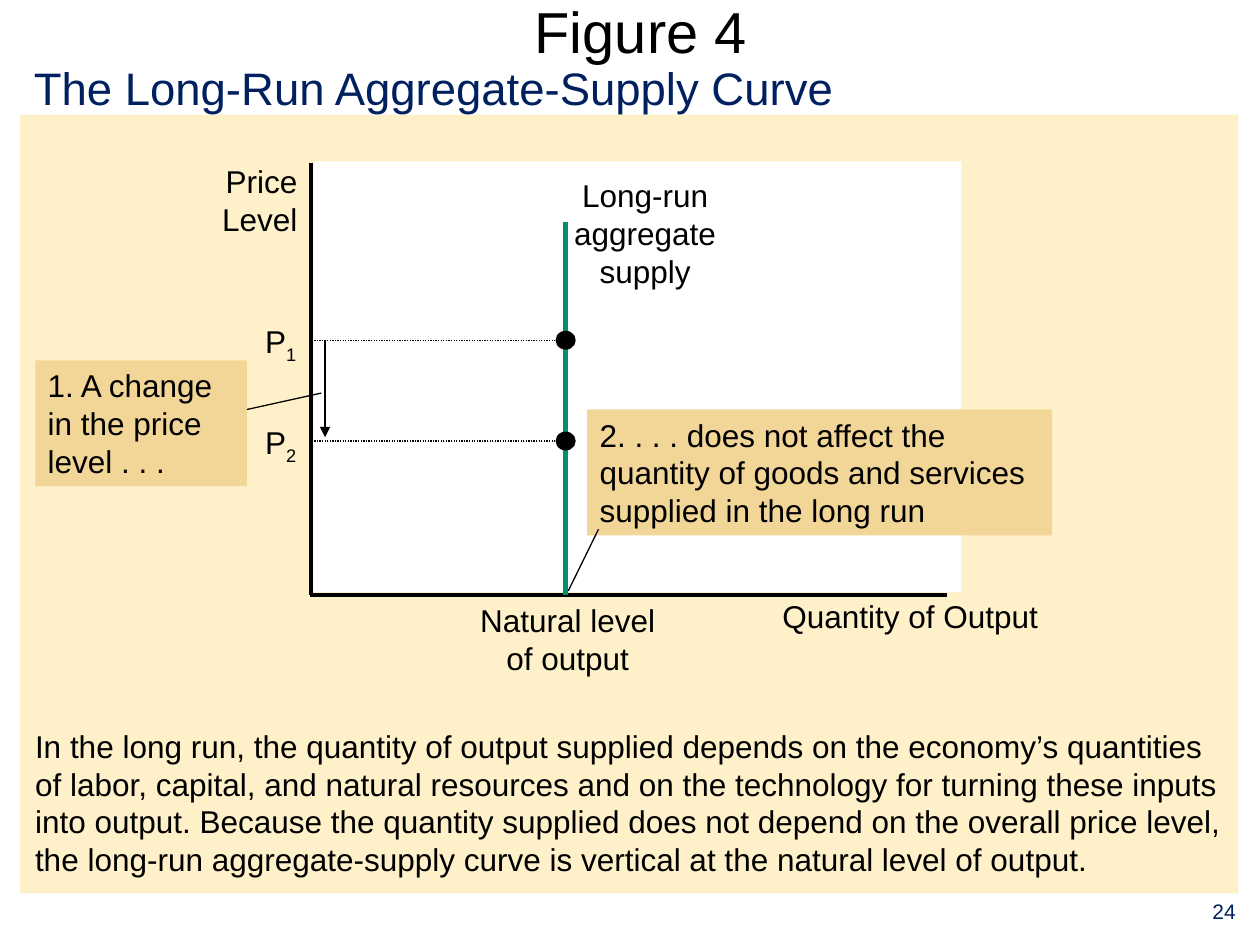
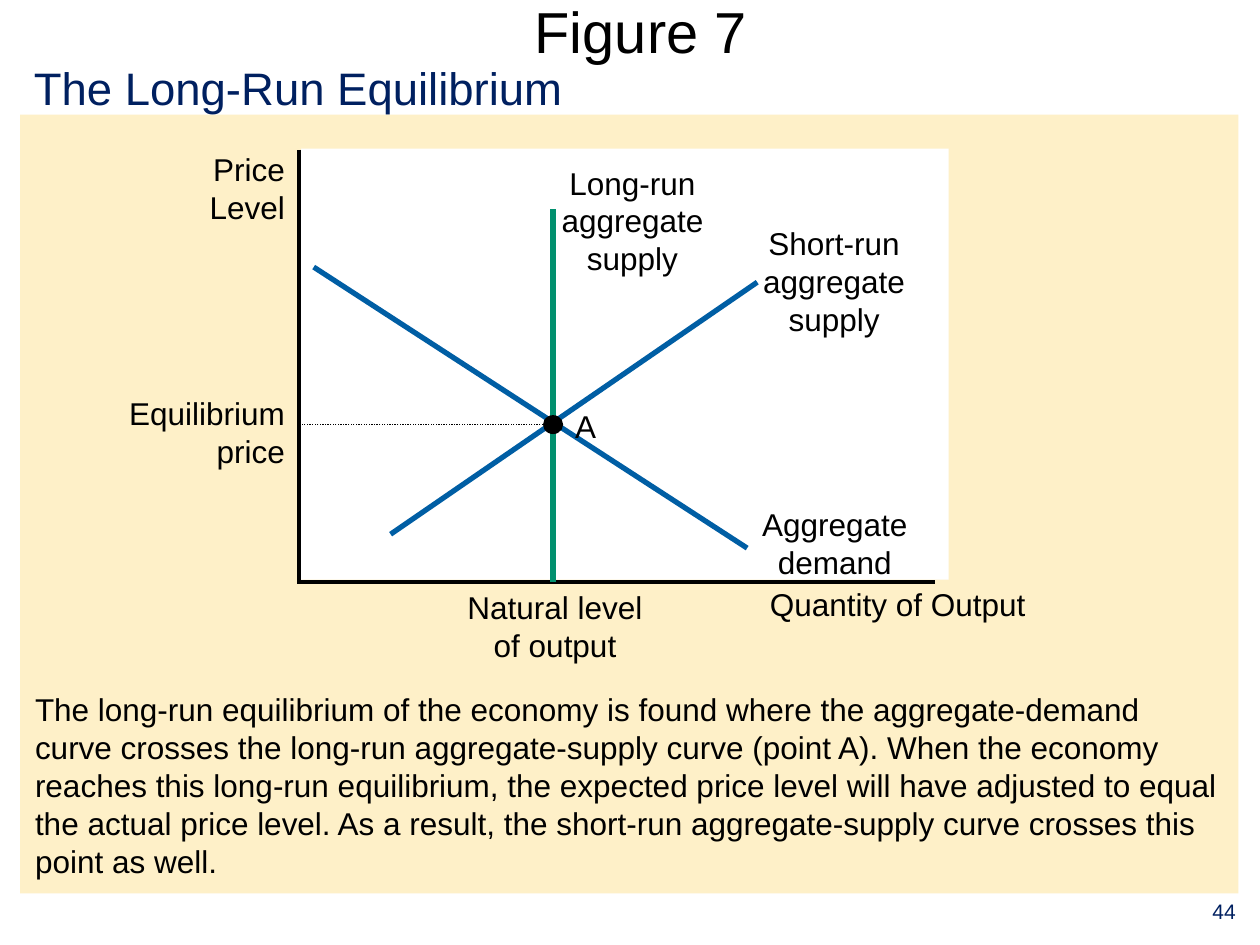
from lxml.etree import SubElement
from pptx import Presentation
from pptx.dml.color import RGBColor
from pptx.enum.dml import MSO_LINE
from pptx.enum.shapes import MSO_CONNECTOR, MSO_SHAPE
from pptx.enum.text import MSO_ANCHOR, MSO_AUTO_SIZE, PP_ALIGN
from pptx.oxml.ns import qn
from pptx.util import Inches, Pt

# Grid: 100 columns by 75 rows over the slide
SLIDE_W, SLIDE_H = Inches(10), Inches(7.5)
COL, ROW = SLIDE_W / 100, SLIDE_H / 75

FONT = "Arial"
BODY_SIZE = 18
BLACK, WHITE, NAVY = "000000", "FFFFFF", "002060"
CREAM, TAN = "FEF0C8", "F2D698"
GREEN, BLUE = "01906E", "005EA4"
LEFT, CENTER, RIGHT = PP_ALIGN.LEFT, PP_ALIGN.CENTER, PP_ALIGN.RIGHT

NATURAL_OUTPUT = 20.2  # columns right of the price axis


def rgb(color):
    return RGBColor.from_string(color)


def grid(x, y):
    return round(x * COL), round(y * ROW)


def format_run(r, size=BODY_SIZE, color=BLACK):
    r.font.name, r.font.size = FONT, Pt(size)
    r.font.color.rgb = rgb(color)


def write(sp, text, size=BODY_SIZE, color=BLACK, align=LEFT, before=0,
          wrap=True, anchor=MSO_ANCHOR.TOP):
    tf = sp.text_frame
    tf.text = text
    tf.word_wrap, tf.vertical_anchor = wrap, anchor
    tf.auto_size = MSO_AUTO_SIZE.NONE
    for p in tf.paragraphs:
        p.alignment, p.space_before = align, Pt(before)
        for r in p.runs:
            format_run(r, size, color)


def add_text(slide, x, y, w, h, text, **style):
    sp = slide.shapes.add_textbox(*grid(x, y), *grid(w, h))
    write(sp, text, **style)
    return sp


def add_block(slide, x, y, w, h, fill, kind=MSO_SHAPE.RECTANGLE):
    sp = slide.shapes.add_shape(kind, *grid(x, y), *grid(w, h))
    sp.shadow.inherit = False
    sp.fill.solid()
    sp.fill.fore_color.rgb = rgb(fill)
    sp.line.fill.background()
    return sp


def add_page(prs, title, subtitle, explanation, text_top, number):
    """Add a slide with its titles, cream panel, explanation and number."""
    slide = prs.slides.add_slide(prs.slide_layouts[6])
    add_block(slide, 1.6, 9.1, 96.7, 61.8, CREAM)
    add_text(slide, 3.5, 0, 94.7, 4.9, title, size=33, align=CENTER,
             anchor=MSO_ANCHOR.MIDDLE)
    add_text(slide, 1.7, 4.3, 80, 5.4, subtitle, size=26, color=NAVY,
             before=6.5)
    add_text(slide, 1.8, text_top, 96.4, 70.2 - text_top, explanation,
             before=4.5)
    add_text(slide, 94.3, 70.8, 5.7, 4.1, number, size=12, color=NAVY,
             align=CENTER)
    return slide


class Graph:
    """Price-output graph, measured in cells right of and above its origin."""

    def __init__(self, slide, origin_x, origin_y):
        self.slide, self.x0, self.y0 = slide, origin_x, origin_y
        self.axes()
        self.long_run_supply()

    def at(self, x, y):
        return self.x0 + x, self.y0 - y

    def line(self, start, end, color=BLACK, width=0.75, dash=None, arrow=False):
        ln = self.slide.shapes.add_connector(
            MSO_CONNECTOR.STRAIGHT, *grid(*self.at(*start)),
            *grid(*self.at(*end)))
        ln.line.color.rgb, ln.line.width = rgb(color), Pt(width)
        if dash:
            ln.line.dash_style = dash
        if arrow:
            SubElement(ln.line._get_or_add_ln(), qn("a:tailEnd"),
                       type="triangle")
        SubElement(ln._element.spPr, qn("a:effectLst"))

    def label(self, x, y, w, h, text, align=CENTER):
        return add_text(self.slide, *self.at(x, y), w, h, text, align=align,
                        wrap=False)

    def axes(self):
        add_block(self.slide, *self.at(0.2, 34.4), 51.4, 34.2, WHITE)
        self.line((0, 34.3), (0, 0), width=2.25)
        self.line((-0.1, 0), (50.5, 0), width=2.25)
        self.label(-8.1, 34.8, 8, 7, "Price\nLevel", RIGHT)
        self.label(36.4, 0.3, 22.3, 4, "Quantity of Output")

    def long_run_supply(self):
        self.line((NATURAL_OUTPUT, 29.6), (NATURAL_OUTPUT, 0), GREEN, 3)
        self.label(19.9, 33.7, 13.2, 10, "Long-run\naggregate\nsupply")
        self.label(12.4, 0, 15.9, 7, "Natural level\nof output")

    def price_point(self, price):
        """Dotted guide to the price axis and a dot on the supply curve."""
        self.line((NATURAL_OUTPUT, price), (0.1, price),
                  dash=MSO_LINE.ROUND_DOT)
        w, h = 1.6, 1.5
        x, y = self.at(NATURAL_OUTPUT, price)
        add_block(self.slide, x - w / 2, y - h / 2, w, h, BLACK,
                  MSO_SHAPE.OVAL)

    def price_level(self, price, index):
        self.price_point(price)
        sp = self.label(-4.7, price + 1.9, 4.5, 4.4, "P", RIGHT)
        r = sp.text_frame.paragraphs[0].add_run()
        r.text = index
        format_run(r)
        r.font._element.set("baseline", "-25000")

    def callout(self, x, y, w, text, start, end):
        sp = add_block(self.slide, *self.at(x, y), w, 10, TAN)
        write(sp, text)
        self.line(start, end)


def long_run_supply_slide(prs):
    slide = add_page(
        prs, "Figure 4", "The Long-Run Aggregate-Supply Curve",
        "In the long run, the quantity of output supplied depends on the "
        "economy’s quantities of labor, capital, and natural resources and on "
        "the technology for turning these inputs into output. Because the "
        "quantity supplied does not depend on the overall price level, the "
        "long-run aggregate-supply curve is vertical at the natural level of "
        "output.", 57.2, "24")
    graph = Graph(slide, 24.7, 47.2)
    high, low = 20.2, 12.2
    graph.price_level(high, "1")
    graph.price_level(low, "2")
    graph.line((1.1, high), (1.1, low + 0.3), width=1.5, arrow=True)
    graph.callout(-21.9, 18.6, 16.8, "1. A change in the price\nlevel . . .",
                  (-5.1, 14.7), (0.8, 16))
    graph.callout(21.9, 14.7, 36.9,
                  "2. . . . does not affect the quantity of goods and "
                  "services supplied in the long run",
                  (20.4, 0.3), (22.8, 5.2))


def equilibrium_slide(prs):
    slide = add_page(
        prs, "Figure 7", "The Long-Run Equilibrium",
        "The long-run equilibrium of the economy is found where the "
        "aggregate-demand curve crosses the long-run aggregate-supply curve "
        "(point A). When the economy reaches this long-run equilibrium, the "
        "expected price level will have adjusted to equal the actual price "
        "level. As a result, the short-run aggregate-supply curve crosses "
        "this point as well.", 54.3, "44")
    graph = Graph(slide, 23.7, 46.2)
    # Short-run supply and demand curves
    graph.line((7.3, 3.8), (36.4, 23.8), BLUE, 3)
    graph.label(35.9, 28.9, 13.2, 10, "Short-run\naggregate\nsupply")
    graph.line((1.2, 25), (35.6, 2.7), BLUE, 3)
    graph.label(35.8, 6.6, 13.5, 7, "Aggregate\ndemand")
    # Equilibrium point
    price = 12.5
    graph.price_point(price)
    graph.label(-14.4, price + 2.9, 14.3, 7, "Equilibrium\nprice", RIGHT)
    graph.label(21, price + 1.9, 3.6, 4, "A", RIGHT)


def main():
    prs = Presentation()
    prs.slide_width, prs.slide_height = SLIDE_W, SLIDE_H
    long_run_supply_slide(prs)
    equilibrium_slide(prs)
    prs.save("out.pptx")


if __name__ == "__main__":
    main()
